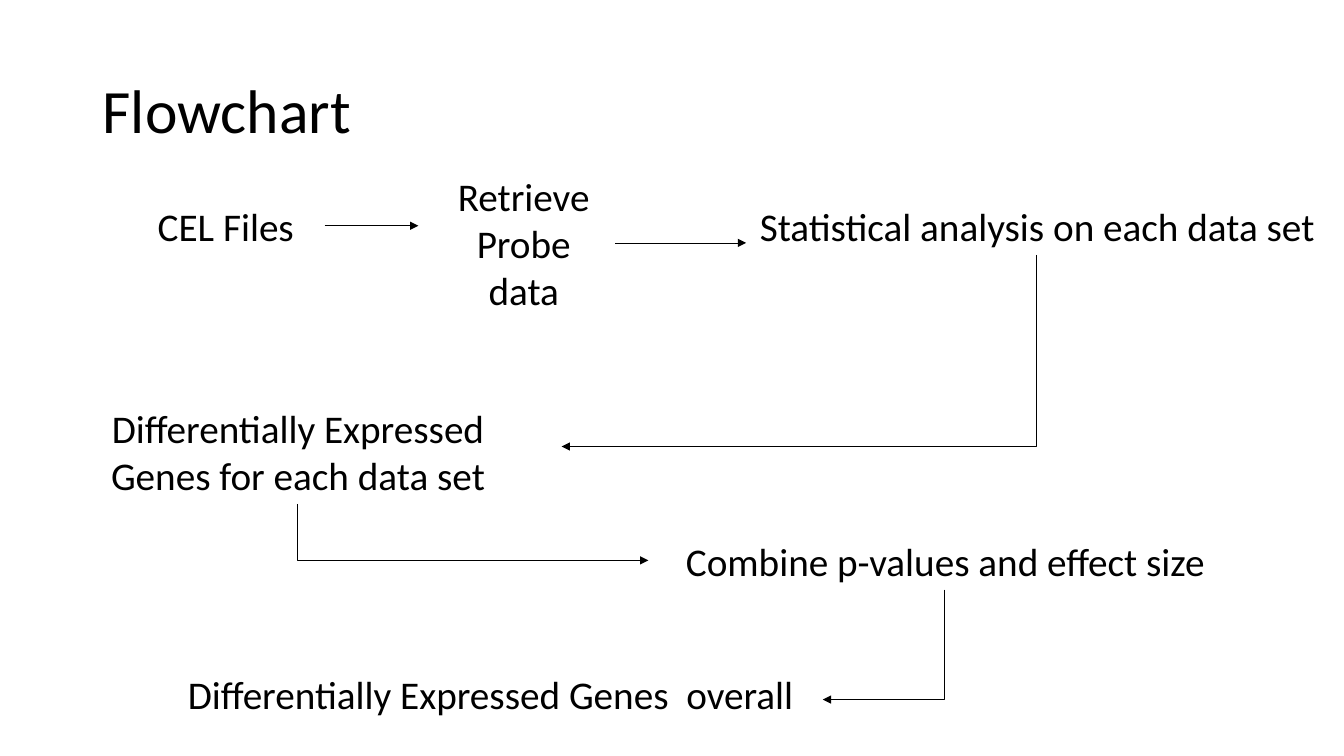
from typing import NamedTuple

from pptx import Presentation
from pptx.dml.color import RGBColor
from pptx.enum.shapes import MSO_CONNECTOR as Link
from pptx.enum.text import MSO_ANCHOR as Anchor, MSO_AUTO_SIZE as AutoSize, PP_ALIGN as Align
from pptx.oxml.ns import qn
from pptx.oxml.xmlchemy import OxmlElement
from pptx.util import Inches, Pt

FONT = "Calibri"
BLACK = "000000"


class Step(NamedTuple):
    text: str
    left: float
    top: float
    width: float
    height: float = 0.57
    wrap: bool = True


class Arrow(NamedTuple):
    start_x: float
    start_y: float
    end_x: float
    end_y: float


STEPS = [
    Step("CEL Files", 1.26, 1.96, 1.96),
    Step("Retrieve Probe data", 4.28, 1.66, 1.83, 1.51),
    Step("Statistical analysis on each data set", 7.4, 1.96, 5.77, wrap=False),
    Step("Combine p-values and effect size", 6.67, 5.28, 5.41, wrap=False),
    Step("Differentially Expressed Genes for each data set", 0.72, 3.96, 4.47, 1.04),
    Step("Differentially Expressed Genes  overall", 1.73, 6.6, 6.27, wrap=False),
]

ARROWS = [
    Arrow(3.22, 2.24, 4.15, 2.24),
    Arrow(6.1, 2.41, 7.4, 2.41),
    Arrow(10.28, 2.53, 5.57, 4.43),
    Arrow(2.95, 5, 6.43, 5.56),
    Arrow(9.37, 5.85, 8.16, 6.94),
]


def color(value: str) -> RGBColor:
    return RGBColor.from_string(value)


def add_text(page, step: Step, *, size=28, align=Align.CENTER, anchor=Anchor.TOP,
             auto_size=AutoSize.SHAPE_TO_FIT_TEXT, line_spacing=None) -> None:
    box = page.shapes.add_textbox(
        Inches(step.left), Inches(step.top), Inches(step.width), Inches(step.height))
    frame = box.text_frame
    frame.word_wrap = step.wrap
    frame.auto_size = auto_size
    frame.vertical_anchor = anchor
    para = frame.paragraphs[0]
    para.alignment = align
    para.line_spacing = line_spacing
    span = para.add_run()
    span.text = step.text
    span.font.name = FONT
    span.font.size = Pt(size)
    span.font.color.rgb = color(BLACK)


def add_arrow(page, arrow: Arrow) -> None:
    if arrow.start_y == arrow.end_y:
        connector = page.shapes.add_connector(Link.STRAIGHT, *map(Inches, arrow))
    else:
        connector = add_elbow(page, arrow)
    connector.line.color.rgb = color(BLACK)
    connector.line.width = Pt(0.5)
    head = OxmlElement("a:tailEnd")
    head.set("type", "triangle")
    connector.line._get_or_add_ln().append(head)
    connector.element.spPr.append(OxmlElement("a:effectLst"))


def add_elbow(page, arrow: Arrow):
    drop = arrow.end_y - arrow.start_y
    reach = abs(arrow.end_x - arrow.start_x)
    rightward = arrow.end_x > arrow.start_x
    left = (arrow.start_x + arrow.end_x - drop) / 2
    top = (arrow.start_y + arrow.end_y - reach) / 2
    begin, end = (left + drop, left) if rightward else (left, left + drop)
    connector = page.shapes.add_connector(
        Link.ELBOW, Inches(begin), Inches(top), Inches(end), Inches(top + reach))
    properties = connector.element.spPr
    turn = 270 if rightward else 90
    properties.find(qn("a:xfrm")).set("rot", str(turn * 60000))
    properties.find(qn("a:prstGeom")).set("prst", "bentConnector2")
    return connector


deck = Presentation()
deck.slide_width, deck.slide_height = Inches(13.33), Inches(7.5)
page = deck.slides.add_slide(deck.slide_layouts[6])

add_text(page, Step("Flowchart", 0.92, 0.4, 11.5, 1.45), size=44, align=Align.LEFT,
         anchor=Anchor.MIDDLE, auto_size=AutoSize.NONE, line_spacing=0.9)
for step in STEPS:
    add_text(page, step)
for arrow in ARROWS:
    add_arrow(page, arrow)

deck.save("out.pptx")
